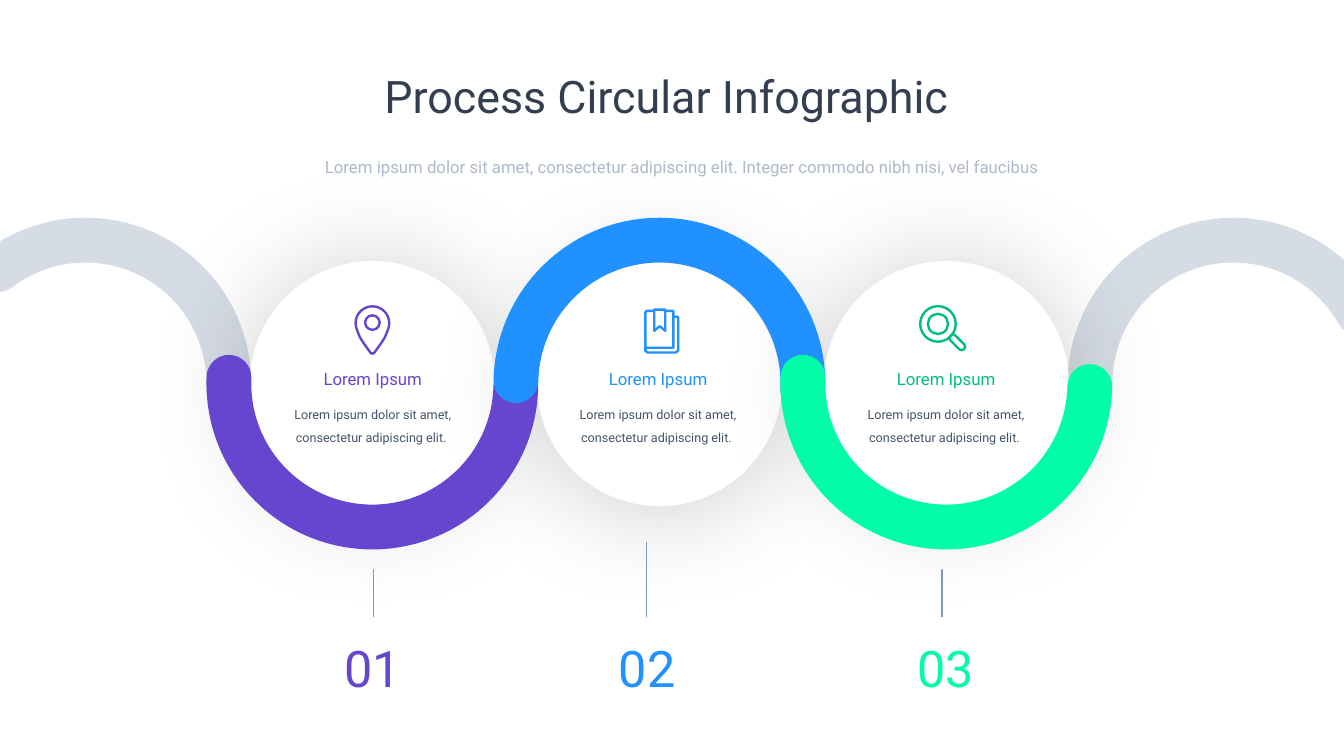
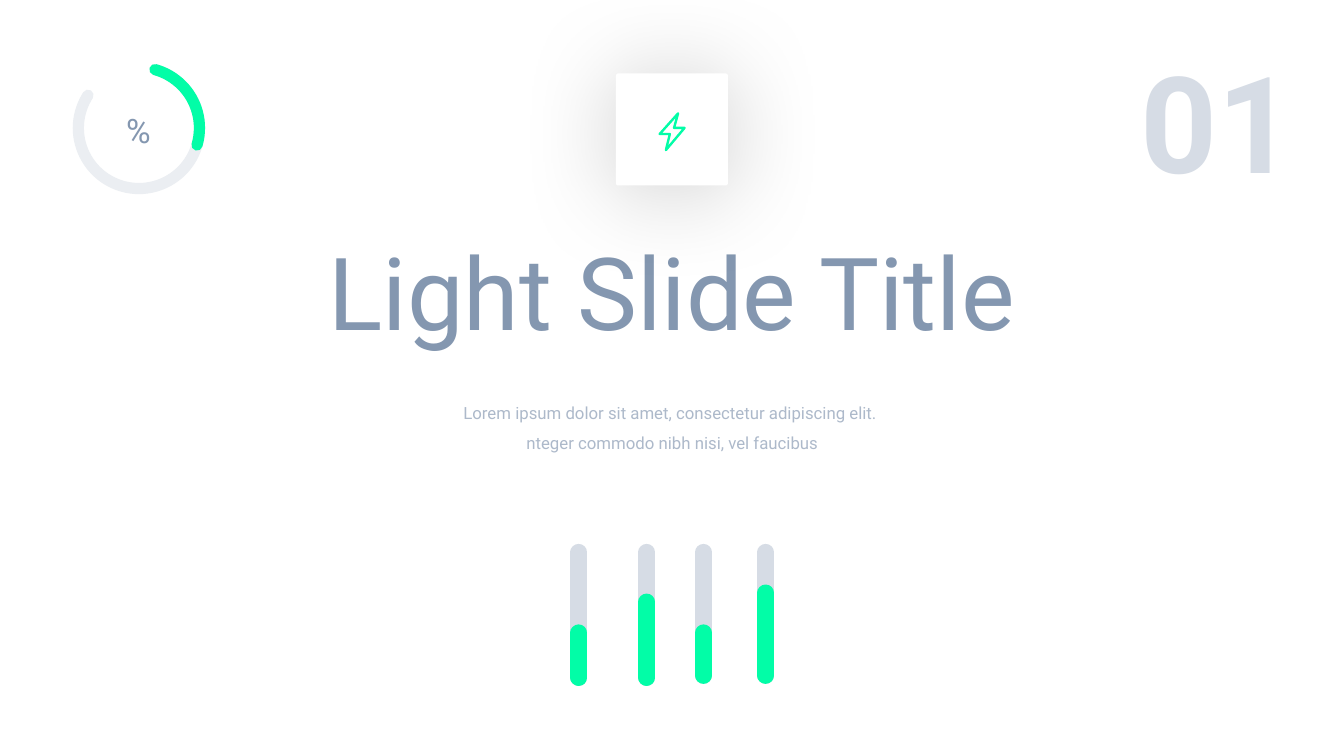
from math import cos, radians, sin

from lxml.etree import SubElement
from pptx import Presentation
from pptx.dml.color import RGBColor
from pptx.enum.shapes import MSO_CONNECTOR, MSO_SHAPE
from pptx.enum.text import PP_ALIGN
from pptx.oxml.ns import qn
from pptx.util import Pt


class Theme:
    font = "Roboto"
    purple, blue, green, jade = "6645CF", "2091FF", "02FDA7", "01BE7D"
    white, pale, mist = "FFFFFF", "D6DCE5", "EBEEF2"
    dark, slate, steel, soft = "333F50", "44546A", "8497B0", "ADB9CA"
    small, body, sign, title, count, cover, huge = 9, 12, 24, 32, 36, 72, 96
    band, bar, ring, icon, rule = 32, 12, 8, 1.7, 1


def paint(shape, fill=None, ink=None, width=0, blur=0):
    """Set fill, round-ended line and soft shadow; whatever is not given is off."""
    if fill:
        shape.fill.solid()
        shape.fill.fore_color.rgb = RGBColor.from_string(fill)
    elif hasattr(shape, "fill"):
        shape.fill.background()
    props = shape.element.spPr
    if ink:
        shape.line.color.rgb = RGBColor.from_string(ink)
        shape.line.width = Pt(width)
        line = props.find(qn("a:ln"))
        line.set("cap", "rnd")
        SubElement(line, qn("a:round"))
    else:
        shape.line.fill.background()
    effects = SubElement(props, qn("a:effectLst"))
    if blur:
        shade = SubElement(effects, qn("a:outerShdw"), blurRad=str(Pt(blur)),
                           dist=str(Pt(3)), dir="5400000", algn="t", rotWithShape="0")
        tint = SubElement(shade, qn("a:srgbClr"), val="000000")
        SubElement(tint, qn("a:alpha"), val="20000")


def write(slide, text, box, size, color, spacing=None, align=PP_ALIGN.CENTER, bold=False):
    """Add a wrapping text box and return its frame."""
    frame = slide.shapes.add_textbox(*map(Pt, box)).text_frame
    frame.word_wrap = True
    frame.text = text
    for para in frame.paragraphs:
        para.alignment = align
        if spacing:
            para.line_spacing = spacing
        for run in para.runs:
            run.font.name = Theme.font
            run.font.size = Pt(size)
            run.font.bold = bold
            run.font.color.rgb = RGBColor.from_string(color)
    return frame


deck = Presentation()
deck.slide_width, deck.slide_height = Pt(960), Pt(540)
blank = deck.slide_layouts[6]

# Slide 1: a wave of arcs around three cards
steps = deck.slides.add_slide(blank)
left, top, size, inset = 163.5, 171.5, 205, 15

# column, start angle, end angle, turn, color; None marks where the cards go
wave = [
    (-1, 52.6, 182.5, 180, Theme.pale),
    (3, 1.2, 150.6, 180, Theme.pale),
    None,
    (0, 1.2, 182.5, 0, Theme.purple),
    (1, 1.2, 182.5, 180, Theme.blue),
    (2, 1.2, 182.5, 0, Theme.green),
]
for part in wave:
    if part is None:
        for col in range(3):
            card = steps.shapes.add_shape(
                MSO_SHAPE.OVAL, Pt(left + col * size + inset), Pt(top + inset),
                Pt(size - 2 * inset), Pt(size - 2 * inset))
            paint(card, fill=Theme.white, blur=80)
        continue
    col, start, end, turn, color = part
    arc = steps.shapes.add_shape(
        MSO_SHAPE.ARC, Pt(left + col * size), Pt(top), Pt(size), Pt(size))
    arc.adjustments[0], arc.adjustments[1] = start * 0.6, end * 0.6
    arc.rotation = turn
    paint(arc, ink=color, width=Theme.band)

write(steps, "Process Circular Infographic ", (0, 45.5, 960, 46), Theme.title, Theme.dark)
write(steps, "Lorem ipsum dolor sit amet, consectetur adipiscing elit. "
      "Integer commodo nibh nisi, vel faucibus",
      (220.5, 101.5, 533.5, 26.5), Theme.body, Theme.soft, 1.5)

# heading color, number color, heading left, number left, rule x, rule top
columns = [
    (Theme.purple, Theme.purple, 178.5, 178.5, 267, 407),
    (Theme.blue, Theme.blue, 382.3, 374.5, 462, 387.5),
    (Theme.jade, Theme.green, 588, 587.5, 673, 407),
]
for num, (head, color, x, numx, rulex, ruley) in enumerate(columns, 1):
    write(steps, "Lorem Ipsum", (x, 260, 175.7, 21.5), Theme.body, head)
    write(steps, "Lorem ipsum dolor sit amet, consectetur adipiscing elit. ",
          (x + 17.2, 281.5, 141, 38), Theme.small, Theme.slate, 1.5)
    write(steps, f"{num:02}", (numx, 451.5, 175.7, 51), Theme.count, color)
    rule = steps.shapes.add_connector(
        MSO_CONNECTOR.STRAIGHT, Pt(rulex), Pt(ruley), Pt(rulex), Pt(440.5))
    paint(rule, ink=Theme.steel, width=Theme.rule)

# Round parts of the pin and the lens: center x, center y, radius, color
rounds = [
    (266, 230.4, 5.2, Theme.purple),
    (670, 231.4, 12.7, Theme.jade),
    (670, 231.4, 7.2, Theme.jade),
]
for x, y, r, color in rounds:
    ring = steps.shapes.add_shape(MSO_SHAPE.OVAL, Pt(x - r), Pt(y - r), Pt(2 * r), Pt(2 * r))
    paint(ring, ink=color, width=Theme.icon)
handle = steps.shapes.add_shape(
    MSO_SHAPE.ROUNDED_RECTANGLE, Pt(677), Pt(242.1), Pt(13.6), Pt(5))
handle.adjustments[0] = 0.5
handle.rotation = 45
paint(handle, ink=Theme.jade, width=Theme.icon)

# Slide 2: cover with gauge, badge and level bars
cover = deck.slides.add_slide(blank)
write(cover, "%", (59, 75, 80, 36), Theme.sign, Theme.steel)

# x, bottom, level top
bars = [(547, 482.5, 423.5), (502.5, 482.5, 452), (462, 484, 430), (413.5, 484, 452)]
for x, base, level in bars:
    for end, color in ((394.5, Theme.pale), (level, Theme.green)):
        bar = cover.shapes.add_connector(
            MSO_CONNECTOR.STRAIGHT, Pt(x), Pt(base), Pt(x), Pt(end))
        paint(bar, ink=color, width=Theme.bar)

for end, color in ((212.8, Theme.mist), (16.4, Theme.green)):
    gauge = cover.shapes.add_shape(MSO_SHAPE.ARC, Pt(56), Pt(48.2), Pt(86.5), Pt(86.5))
    gauge.adjustments[0], gauge.adjustments[1] = 285.3 * 0.6, end * 0.6
    paint(gauge, ink=color, width=Theme.ring)

write(cover, "Light Slide Title", (0, 160.5, 960, 94.5), Theme.cover, Theme.steel)
write(cover, "Lorem ipsum dolor sit amet, consectetur adipiscing elit. \n"
      "nteger commodo nibh nisi, vel faucibus",
      (284.5, 277, 391.5, 48), Theme.body, Theme.soft, 1.5)

badge = cover.shapes.add_shape(
    MSO_SHAPE.ROUNDED_RECTANGLE, Pt(440), Pt(52.5), Pt(80), Pt(80))
badge.adjustments[0] = 0.02
paint(badge, fill=Theme.white, blur=71)

number = write(cover, "01", (779, 28, 145.5, 116.5), Theme.huge, Theme.pale,
               align=PP_ALIGN.RIGHT, bold=True)
number.margin_left = number.margin_top = number.margin_right = number.margin_bottom = 0

# Icon outlines of both slides: slide, color, fill, closed, points
crown = [(266 + 12 * cos(radians(a)), 230.8 + 12 * sin(radians(a)))
         for a in range(160, 381, 10)]
pin = crown + [(275, 240.8), (272, 245.5), (267, 252.4), (265, 252.4), (260, 245.5), (257, 240.8)]
book = [(481, 226), (484.5, 226.5), (484.5, 250), (483, 251.8), (462.5, 251.8), (461, 250.5),
        (461, 223), (462, 222), (481, 222), (481, 248.4), (462, 248.4), (461, 249.5)]
marker = [(467.3, 221.2), (475.2, 221.2), (475.2, 236.3), (471.2, 233), (467.3, 236.3)]
bolt = [(484.4, 81), (481.5, 91.4), (489, 91.4), (475.7, 107.2), (478.5, 95.8), (471.2, 95.8)]
icons = [
    (steps, Theme.purple, None, True, pin),
    (steps, Theme.blue, None, False, book),
    (steps, Theme.blue, Theme.white, True, marker),
    (cover, Theme.green, None, True, bolt),
]
for slide, color, fill, closed, points in icons:
    spots = [(Pt(x), Pt(y)) for x, y in points]
    pen = slide.shapes.build_freeform(*spots[0])
    pen.add_line_segments(spots[1:], close=closed)
    paint(pen.convert_to_shape(), fill=fill, ink=color, width=Theme.icon)

deck.save("out.pptx")
